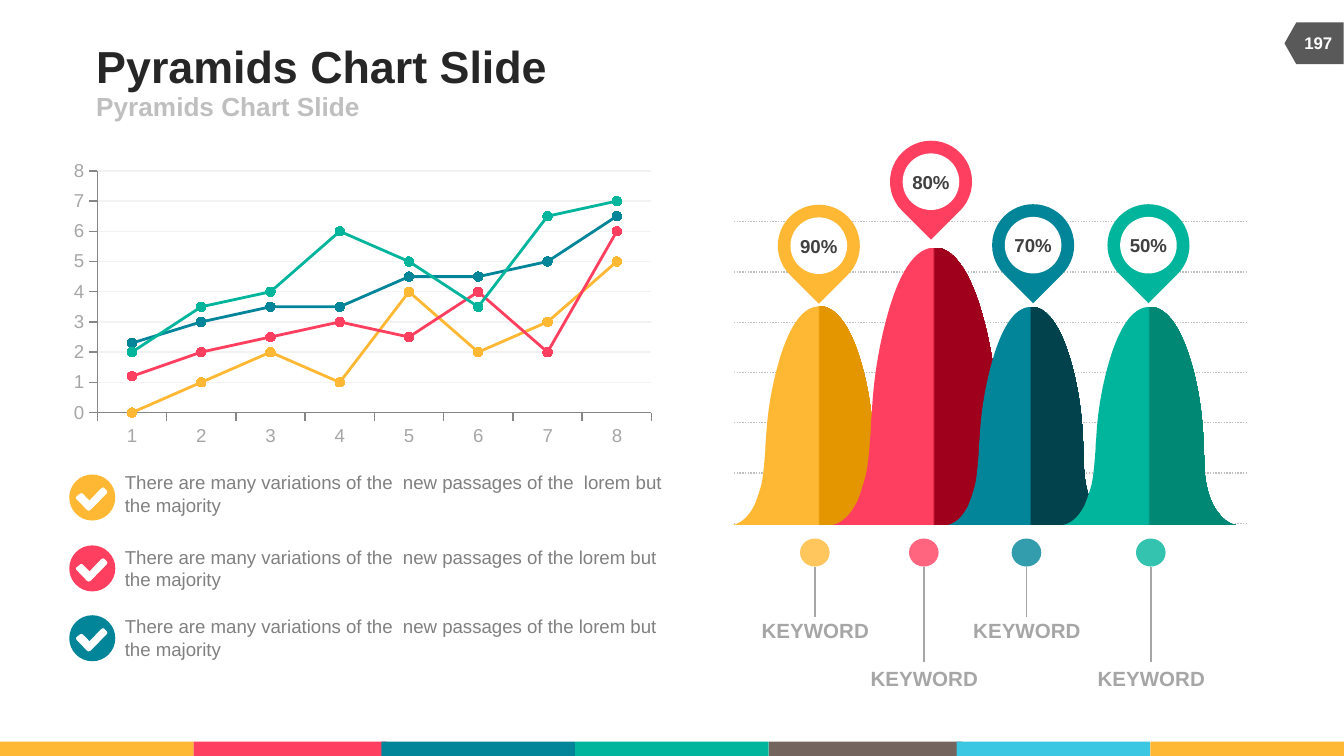
from dataclasses import dataclass

from lxml.etree import SubElement
from pptx import Presentation
from pptx.chart.data import CategoryChartData
from pptx.dml.color import RGBColor
from pptx.enum.chart import XL_CHART_TYPE as ChartType, XL_MARKER_STYLE as Marker, XL_TICK_MARK as Tick
from pptx.enum.dml import MSO_LINE as Dash
from pptx.enum.shapes import MSO_CONNECTOR as Connector, MSO_SHAPE as Shape
from pptx.enum.text import MSO_ANCHOR as Anchor, PP_ALIGN as Align
from pptx.oxml.ns import qn
from pptx.util import Cm, Pt

FONT = "Arial"
COLORS = {
    "yellow": "FEB834", "red": "FF3F5F", "blue": "028599", "green": "01B59C",
    "brown": "73655D", "sky": "3BC7E2", "white": "FFFFFF", "ink": "262626",
    "dark": "404040", "badge": "595959", "body": "808080", "axis": "868686",
    "label": "A6A6A6", "pale": "BFBFBF", "grid": "F2F2F2",
    "yellow shade": "E49601", "red shade": "9F001B",
    "blue shade": "01424C", "green shade": "018875",
}
Point = tuple[float, float]


@dataclass
class Peak:
    color: str
    left: float
    top: float
    width: float
    pin_left: float
    pin_top: float
    percent: str
    dot_left: float
    low_label: bool


@dataclass
class Bullet:
    color: str
    icon_top: float
    text_top: float
    text: str


PEAKS = [
    Peak("yellow", 13.82, 5.79, 3.35, 14.70, 3.87, "90%", 15.12, False),
    Peak("red", 15.70, 4.68, 3.94, 16.82, 2.66, "80%", 17.18, True),
    Peak("blue", 17.88, 5.80, 3.23, 18.75, 3.86, "70%", 19.12, False),
    Peak("green", 20.06, 5.80, 3.35, 20.93, 3.86, "50%", 21.47, True),
]
BULLETS = [
    Bullet("yellow", 8.97, 8.91,
           "There are many variations of the  new passages of the  lorem but the majority"),
    Bullet("red", 10.31, 10.31,
           "There are many variations of the  new passages of the lorem but the majority"),
    Bullet("blue", 11.63, 11.63,
           "There are many variations of the  new passages of the lorem but the majority"),
]
SERIES = {
    "yellow": (0, 1, 2, 1, 4, 2, 3, 5),
    "red": (1.2, 2, 2.5, 3, 2.5, 4, 2, 6),
    "blue": (2.3, 3, 3.5, 3.5, 4.5, 4.5, 5, 6.5),
    "green": (2, 3.5, 4, 6, 5, 3.5, 6.5, 7),
}
FOOTER = [("yellow", 0), ("red", 3.66), ("blue", 7.21), ("green", 10.87),
          ("brown", 14.53), ("sky", 18.08), ("yellow", 21.74)]

# Outlines in percent of their box: a start, then two handles and an end per curve
BELL = [
    (80.6, 71), (80.6, 80), (83, 87), (86.5, 92), (90.5, 97), (95, 100), (100, 100),
    (100, 100), (0, 100), (0, 100), (5, 99.5), (9.5, 96.5), (13, 91),
    (14, 89), (15.5, 86), (17, 81.5), (18, 78), (18.7, 72), (19.3, 65),
    (19.3, 63), (19.5, 61.5), (19.7, 60), (20.6, 45.4), (24, 32.4), (28.4, 21.3),
    (34.2, 7.2), (41.3, 0), (50, 0), (58, 0), (65.8, 7.2), (71.6, 21.3),
    (76.8, 33.8), (80, 48.8), (80.3, 66), (80.4, 67.5), (80.6, 69), (80.6, 71),
]
CIRCLE = [
    (50, 100), (22.4, 100), (0, 77.6), (0, 50), (0, 22.4), (22.4, 0), (50, 0),
    (77.6, 0), (100, 22.4), (100, 50), (100, 77.6), (77.6, 100), (50, 100),
]
# Tick mark with straight sides
CHECK = [(82, 35), (76, 29), (73, 28), (69, 30), (44, 56), (30, 42), (27, 40), (24, 41),
         (15, 48), (14, 50), (15, 53), (38, 77), (42, 79), (47, 77), (82, 41), (83, 38)]


def rgb(color: str) -> RGBColor:
    return RGBColor.from_string(COLORS[color])


def add_preset(page, kind, left, top, width, height, color, rotation=0):
    shape = page.shapes.add_shape(kind, Cm(left), Cm(top), Cm(width), Cm(height))
    shape.shadow.inherit = False
    shape.fill.solid()
    shape.fill.fore_color.rgb = rgb(color)
    shape.line.fill.background()
    shape.rotation = rotation
    return shape


def add_outline(page, curved: list[Point], holes: list[list[Point]], left, top, width, height):
    placed = [[(Cm(left + x * width / 100), Cm(top + y * height / 100)) for x, y in contour]
              for contour in (curved, *holes)]
    builder = page.shapes.build_freeform(*placed[0][0], scale=1.0)
    for index, contour in enumerate(placed):
        if index:
            builder.move_to(*contour[0])
        builder.add_line_segments(contour[1:], close=True)
    shape = builder.convert_to_shape()
    shape.shadow.inherit = False
    shape.line.fill.background()
    # Join each three points of the outer contour into one Bezier curve
    outline = next(shape.element.iter(qn("a:path")))
    steps = outline.findall(qn("a:lnTo"))[:len(curved) - 1]
    for first in range(0, len(steps), 3):
        curve = outline.makeelement(qn("a:cubicBezTo"))
        steps[first].addprevious(curve)
        for step in steps[first:first + 3]:
            curve.append(step[0])
            outline.remove(step)
    return shape


def write(shape, text, size, color, bold=True, align=Align.LEFT, anchor=Anchor.MIDDLE, wrap=True):
    frame = shape.text_frame
    frame.margin_left = frame.margin_right = frame.margin_top = frame.margin_bottom = 0
    frame.word_wrap = wrap
    frame.vertical_anchor = anchor
    para = frame.paragraphs[0]
    para.text = text
    para.alignment = align
    font = para.font
    font.name, font.size, font.bold = FONT, Pt(size), bold
    font.color.rgb = rgb(color)


def add_text(page, left, top, width, height, *text, **style):
    box = page.shapes.add_textbox(Cm(left), Cm(top), Cm(width), Cm(height))
    write(box, *text, **style)


def add_line(page, x1, y1, x2, y2, color, dash=None):
    line = page.shapes.add_connector(Connector.STRAIGHT, Cm(x1), Cm(y1), Cm(x2), Cm(y2))
    line.line.color.rgb = rgb(color)
    line.line.width = Pt(0.75)
    if dash:
        line.line.dash_style = dash
    SubElement(line.element.spPr, qn("a:effectLst"))


def add_peak(page, peak: Peak):
    # Two-tone bell
    bell = add_outline(page, BELL, [], peak.left, peak.top, peak.width, 9.93 - peak.top)
    bell.fill.gradient()
    bell.fill.gradient_angle = 0
    tones = ((0.49, peak.color), (0.5, f"{peak.color} shade"))
    for stop, (position, color) in zip(bell.fill.gradient_stops, tones):
        stop.position = position
        stop.color.rgb = rgb(color)
    # Pin with its percentage
    add_preset(page, Shape.TEAR, peak.pin_left, peak.pin_top, 1.55, 1.55, peak.color, 135)
    hole = add_preset(page, Shape.OVAL, peak.pin_left + 0.24, peak.pin_top + 0.24, 1.07, 1.07, "white")
    write(hole, peak.percent, 10, "dark", align=Align.CENTER)
    # Dot, stem and keyword
    dot = add_preset(page, Shape.OVAL, peak.dot_left, 10.18, 0.56, 0.53, peak.color)
    tint = dot.element.spPr.find(qn("a:solidFill")).find(qn("a:srgbClr"))
    SubElement(tint, qn("a:alpha")).set("val", "80000")
    center = peak.dot_left + 0.28
    stem_end, label_top = (12.52, 12.59) if peak.low_label else (11.66, 11.69)
    add_line(page, center, 10.72, center, stem_end, "label")
    add_text(page, center - 1.02, label_top, 2.06, 0.48, "KEYWORD", 11, "label",
             align=Align.CENTER, anchor=Anchor.TOP, wrap=False)


def add_line_chart(page):
    data = CategoryChartData()
    data.categories = [str(number) for number in range(1, 9)]
    for number, values in enumerate(SERIES.values(), 1):
        data.add_series(f"Series {number}", values)
    chart = page.shapes.add_chart(ChartType.LINE_MARKERS, Cm(1.17), Cm(2.92), Cm(11.37), Cm(5.64), data).chart
    chart.has_legend = chart.has_title = False
    chart.font.name, chart.font.size = FONT, Pt(10)
    chart.font.color.rgb = rgb("label")
    chart.plots[0].vary_by_categories = False
    for axis in (chart.category_axis, chart.value_axis):
        axis.major_tick_mark, axis.minor_tick_mark = Tick.OUTSIDE, Tick.NONE
        axis.format.line.color.rgb = rgb("axis")
    scale = chart.value_axis
    scale.minimum_scale, scale.maximum_scale, scale.major_unit = 0, 8, 1
    scale.major_gridlines.format.line.color.rgb = rgb("grid")
    scale.major_gridlines.format.line.width = Pt(0.75)
    for series, color in zip(chart.plots[0].series, SERIES):
        series.smooth = False
        series.format.line.color.rgb = rgb(color)
        series.format.line.width = Pt(1.5)
        series.marker.style, series.marker.size = Marker.CIRCLE, 5
        series.marker.format.fill.solid()
        series.marker.format.fill.fore_color.rgb = rgb(color)
        series.marker.format.line.color.rgb = rgb(color)


def main():
    deck = Presentation()
    deck.slide_width, deck.slide_height = Cm(25.4), Cm(14.29)
    page = deck.slides.add_slide(deck.slide_layouts[6])

    # Footer stripe and page number
    for color, left in FOOTER:
        add_preset(page, Shape.RECTANGLE, left, 14.02, 3.66, 0.27, color)
    add_preset(page, Shape.FLOWCHART_OFFPAGE_CONNECTOR, 24.44, 0.26, 0.79, 1.12, "badge", 90)
    add_text(page, 24.38, 0.43, 1.07, 0.76, "197", 9, "white", align=Align.CENTER)

    # Headings
    add_text(page, 1.82, 0.74, 15.67, 0.99, "Pyramids Chart Slide", 24, "ink", wrap=False)
    add_text(page, 1.82, 1.73, 11.43, 0.56, "Pyramids Chart Slide", 14, "pale", wrap=False)

    # Bell diagram over dotted rules
    for row in range(7):
        y = 4.19 + 0.95 * row
        add_line(page, 13.87, y, 23.57, y, "pale", Dash.ROUND_DOT)
    for peak in PEAKS:
        add_peak(page, peak)

    # Line chart and checked points
    add_line_chart(page)
    for bullet in BULLETS:
        icon = add_outline(page, CIRCLE, [CHECK], 1.31, bullet.icon_top, 0.87, 0.87)
        icon.fill.solid()
        icon.fill.fore_color.rgb = rgb(bullet.color)
        add_text(page, 2.36, bullet.text_top, 10.19, 0.86, bullet.text, 10, "body",
                 bold=False, anchor=Anchor.TOP)
    deck.save("out.pptx")


if __name__ == "__main__":
    main()
